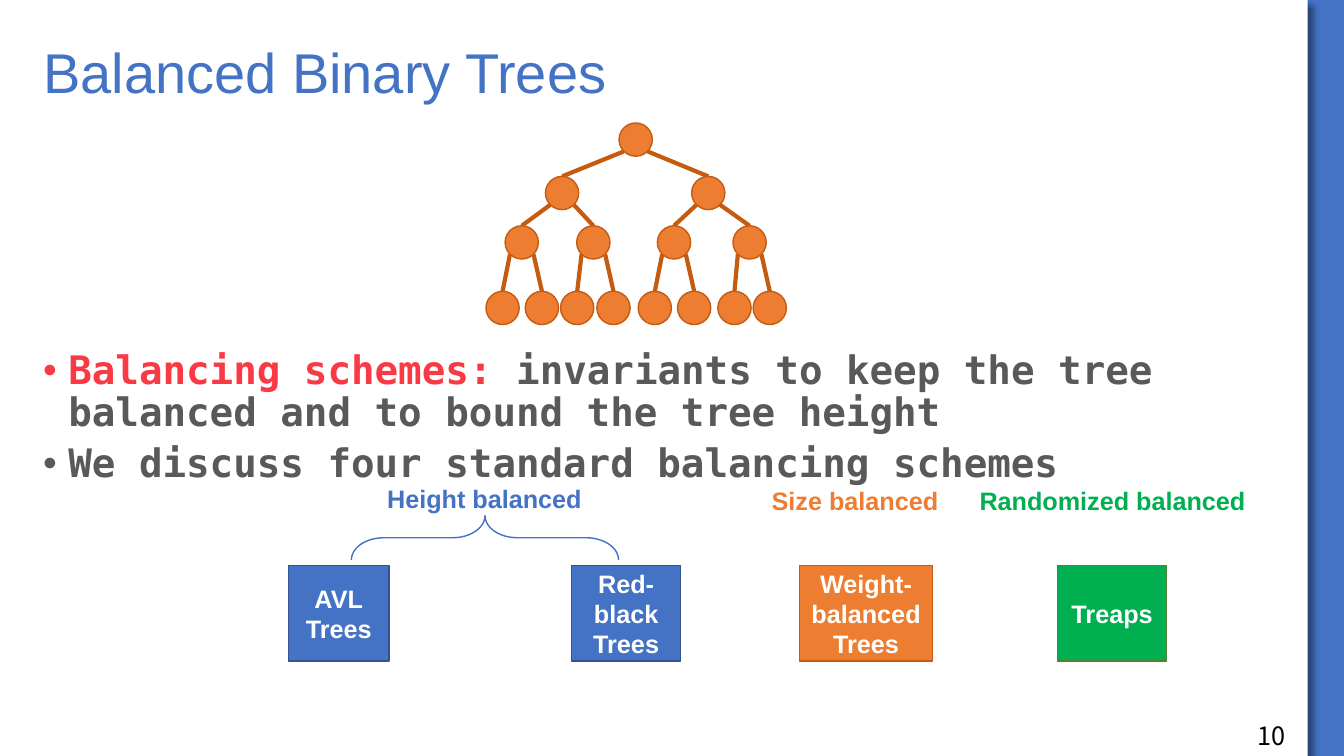
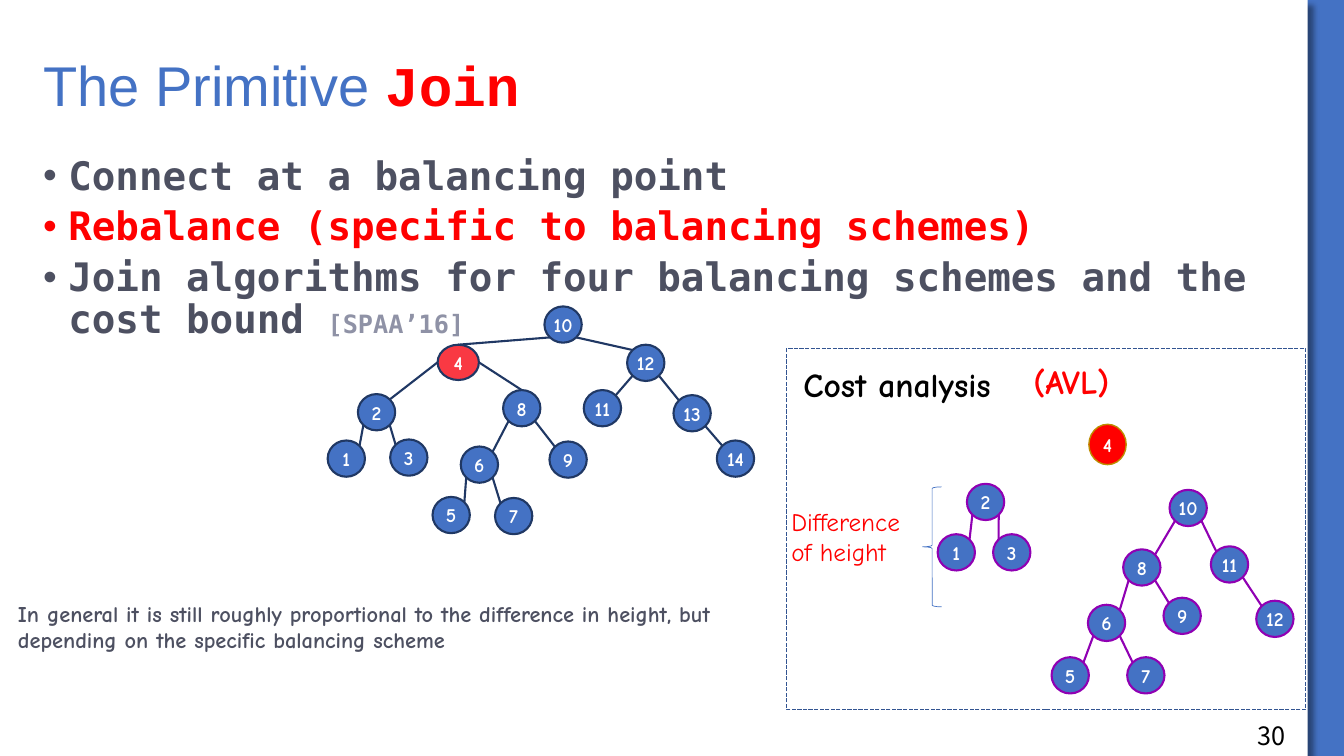
from dataclasses import dataclass, field
from itertools import chain
from lxml import etree
from pptx import Presentation, util as u
from pptx.dml.color import RGBColor
from pptx.enum import dml, shapes, text
from pptx.oxml import parse_xml
from pptx.oxml.ns import nsdecls, qn

SANS, MONO, COMIC = "Arial", "DejaVu Sans Mono", "Comic Neue"


@dataclass(frozen=True)
class Theme:
    blue: str = "4472C4"
    blue_edge: str = "325491"
    navy: str = "203864"
    orange: str = "ED7D31"
    orange_edge: str = "C55A11"
    green: str = "00B050"
    green_edge: str = "548235"
    red: str = "FF0000"
    coral: str = "F93943"
    gold: str = "BD8D00"
    purple: str = "9000B3"
    white: str = "FFFFFF"
    styles: dict = field(default_factory=lambda: {
        "title": (40, SANS, "4472C4", False),
        "title code": (40, "Courier New", "FF0000", True),
        "body": (28, MONO, "595959", True),
        "body slate": (28, MONO, "4D5061", True),
        "body coral": (28, MONO, "F93943", True),
        "body red": (28, MONO, "FF0000", True),
        "citation": (18, MONO, "8F92A6", True),
        "page": (18, "Noto Sans CJK SC", "000000", False),
        "scheme": (18, SANS, "FFFFFF", True),
        "height": (18, SANS, "4472C4", True),
        "size": (18, SANS, "ED7D31", True),
        "random": (18, SANS, "00B050", True),
        "key": (14, COMIC, "FFFFFF", True),
        "heading": (24, COMIC, "000000", True),
        "heading red": (24, COMIC, "FF0000", True),
        "remark": (18, COMIC, "FF0000", False),
        "note": (16, COMIC, "4D5061", True),
    })


T = Theme()
CELL = u.Inches(1)
COLS, ROWS = 13.33, 7.5
PAPER_COLS = 12.97
MARGIN, CONTENT_COLS = 0.33, 12.33

BALANCED = {
    "page": "10",
    "title": ([("Balanced Binary Trees", "title")], 0.5),
    "body": (3.43, 1.58, [
        [("Balancing schemes: ", "body coral"),
         ("invariants to keep the tree balanced and to bound the tree height", "body")],
        [("We discuss four standard balancing schemes", "body")],
    ]),
}
LEVELS = [
    (1.22, [6.14]),
    (1.75, [5.41, 6.86]),
    (2.24, [5.01, 5.72, 6.52, 7.27]),
    (2.89, [4.82, 5.21, 5.56, 5.92, 6.33, 6.72, 7.12, 7.47]),
]
SCHEMES = [
    (["AVL", "Trees"], 2.86, 1.0, T.blue, T.blue_edge),
    (["Red-black Trees"], 5.67, 1.08, T.blue, T.blue_edge),
    (["Weight-balanced Trees"], 7.93, 1.32, T.orange, T.orange_edge),
    (["Treaps"], 10.49, 1.08, T.green, T.green_edge),
]
FAMILIES = [
    ("Height balanced", "height", (3.62, 4.75, 2.37, 0.4)),
    ("Size balanced", "size", (7.54, 4.77, 1.88, 0.4)),
    ("Randomized balanced", "random", (9.6, 4.77, 2.87, 0.4)),
]

JOIN = {
    "page": "30",
    "title": ([("The Primitive ", "title"), ("Join", "title code")], 0.75),
    "body": (1.5, 5.75, [
        [("Connect at a balancing point", "body slate")],
        [("Rebalance (specific to balancing schemes)", "body red")],
        [("Join algorithms for four balancing schemes and the cost bound ", "body slate"),
         ("[SPAA’16]", "citation")],
    ]),
}
LEFT, RIGHT = ("sw", "ne"), ("se", "nw")
JOINED = {
    10: (5.4, 3.04, None, None), 4: (4.34, 3.42, 10, ("sw", "n")),
    12: (6.22, 3.42, 10, RIGHT), 2: (3.55, 3.91, 4, ("w", "ne")),
    8: (4.99, 3.87, 4, ("e", "n")), 11: (5.79, 3.87, 12, LEFT),
    13: (6.68, 3.92, 12, RIGHT), 1: (3.25, 4.37, 2, LEFT),
    3: (3.87, 4.36, 2, RIGHT), 6: (4.57, 4.43, 8, LEFT),
    9: (5.45, 4.38, 8, RIGHT), 14: (7.11, 4.37, 13, RIGHT),
    5: (4.29, 4.93, 6, LEFT), 7: (4.91, 4.94, 6, RIGHT),
}
SMALLER = {2: (9.59, 4.8, None, None), 1: (9.3, 5.3, 2, LEFT), 3: (9.85, 5.3, 2, RIGHT)}
LARGER = {
    10: (11.6, 4.86, None, None), 8: (11.14, 5.45, 10, LEFT),
    11: (12.01, 5.42, 10, RIGHT), 6: (10.79, 6.0, 8, LEFT),
    9: (11.54, 5.93, 8, RIGHT), 12: (12.46, 5.96, 11, RIGHT),
    5: (10.43, 6.52, 6, LEFT), 7: (11.18, 6.52, 6, RIGHT),
}
PIVOT = {4: (10.8, 4.21, None, None)}
REMARKS = [
    ("Cost analysis", "heading", (7.87, 3.56, 2.31, 0.5)),
    ("(AVL)", "heading red", (10.15, 3.53, 1.1, 0.5)),
    ("Difference of height", "remark", (7.75, 4.97, 1.53, 0.71)),
    ("In general it is still roughly proportional to the difference in height, "
     "but depending on the specific balancing scheme", "note", (0.08, 5.9, 7.66, 0.64)),
]

DIAGONAL = 0.5 ** 0.5
COMPASS = {
    "n": (0, -1), "w": (-1, 0), "e": (1, 0),
    "ne": (DIAGONAL, -DIAGONAL), "nw": (-DIAGONAL, -DIAGONAL),
    "se": (DIAGONAL, DIAGONAL), "sw": (-DIAGONAL, DIAGONAL),
}


def cells(*lengths):
    return [int(length * CELL) for length in lengths]


def rgb(color):
    return RGBColor.from_string(color)


def write(frame, paragraphs, align=None, anchor=text.MSO_ANCHOR.TOP, wrap=True,
          spacing=None, bullets=False):
    frame.word_wrap, frame.vertical_anchor = wrap, anchor
    for index, runs in enumerate(paragraphs):
        line = frame.paragraphs[0] if index == 0 else frame.add_paragraph()
        line.alignment, line.line_spacing = align, spacing
        for words, style in runs:
            run = line.add_run()
            run.text = words
            size, face, color, bold = T.styles[style]
            run.font.size, run.font.name, run.font.bold = u.Pt(size), face, bold
            run.font.color.rgb = rgb(color)
        if bullets:
            line.space_before = u.Pt(6)
            props = line._p.get_or_add_pPr()
            props.set("marL", str(CELL // 4))
            props.set("indent", str(-CELL // 4))
            etree.SubElement(props, qn("a:buFont")).set("typeface", SANS)
            etree.SubElement(props, qn("a:buChar")).set("char", "•")


def label(slide, box, paragraphs, **layout):
    write(slide.shapes.add_textbox(*cells(*box)).text_frame, paragraphs, **layout)


def draw(slide, kind, box, fill=None, edge=None, width=1):
    item = slide.shapes.add_shape(kind, *cells(*box))
    item.shadow.inherit = False
    if fill:
        item.fill.solid()
        item.fill.fore_color.rgb = rgb(fill)
    else:
        item.fill.background()
    if edge:
        item.line.color.rgb = rgb(edge)
        item.line.width = u.Pt(width)
    else:
        item.line.fill.background()
    return item


def site(box, direction):
    left, top, width, height = box
    dx, dy = COMPASS[direction]
    return left + width / 2 * (1 + dx), top + height / 2 * (1 + dy)


def draw_tree(slide, tree, fill, edge, node_width=1.5, edge_width=1.5, size=(0.37, 0.36),
              special=None, keys=True):
    special = special or {}
    boxes = {key: (left, top, *special.get(key, (size, fill))[0])
             for key, (left, top, _, _) in tree.items()}
    for key, (_, _, parent, joint) in tree.items():
        if parent is None:
            continue
        ends = chain(site(boxes[parent], joint[0]), site(boxes[key], joint[1]))
        branch = slide.shapes.add_connector(shapes.MSO_CONNECTOR.STRAIGHT, *cells(*ends))
        branch.line.color.rgb = rgb(edge)
        branch.line.width = u.Pt(edge_width)
        etree.SubElement(branch._element.spPr, qn("a:effectLst"))
    for key, box in boxes.items():
        color = special.get(key, (size, fill))[1]
        node = draw(slide, shapes.MSO_SHAPE.OVAL, box, color, edge, node_width)
        if keys:
            write(node.text_frame, [[(str(key), "key")]], text.PP_ALIGN.CENTER,
                  text.MSO_ANCHOR.MIDDLE, wrap=False)


def heap(levels):
    spots = [(left, top) for top, lefts in levels for left in lefts]
    return {i: (*spot, (i - 1) // 2 if i else None, ("sw" if i % 2 else "se", "n"))
            for i, spot in enumerate(spots)}


def set_master(deck, slide):
    master = deck.slide_master
    master.background.fill.solid()
    master.background.fill.fore_color.rgb = rgb(T.blue)
    paper = draw(slide, shapes.MSO_SHAPE.RECTANGLE, (0, 0, PAPER_COLS, ROWS), T.white)
    props = paper._element.spPr
    props.remove(props.find(qn("a:effectLst")))
    props.append(parse_xml(
        f'<a:effectLst {nsdecls("a")}><a:outerShdw blurRad="{u.Pt(4)}" dist="{u.Pt(6)}" '
        'dir="2700000" algn="tl" rotWithShape="0"><a:srgbClr val="000000">'
        '<a:alpha val="40000"/></a:srgbClr></a:outerShdw></a:effectLst>'))
    master.shapes._spTree.insert(2, paper._element)


def add_page(deck, content):
    slide = deck.slides.add_slide(deck.slide_layouts[6])
    if len(deck.slides) == 1:
        set_master(deck, slide)
    title, title_rows = content["title"]
    top, rows, points = content["body"]
    label(slide, (MARGIN, 0.5, CONTENT_COLS, title_rows), [title],
          anchor=text.MSO_ANCHOR.MIDDLE, spacing=0.9)
    label(slide, (MARGIN, top, CONTENT_COLS, rows), points, spacing=0.9, bullets=True)
    label(slide, (12.37, 7.1, 0.86, 0.4), [[(content["page"], "page")]])
    return slide


def build_balanced(deck):
    slide = add_page(deck, BALANCED)
    draw_tree(slide, heap(LEVELS), T.orange, T.orange_edge, node_width=1, edge_width=3,
              size=(0.33, 0.33), keys=False)
    for lines, left, width, fill, edge in SCHEMES:
        scheme = draw(slide, shapes.MSO_SHAPE.RECTANGLE, (left, 5.61, width, 0.95), fill, edge)
        write(scheme.text_frame, [[(line, "scheme")] for line in lines],
              text.PP_ALIGN.CENTER, text.MSO_ANCHOR.MIDDLE)
    brace = draw(slide, shapes.MSO_SHAPE.LEFT_BRACE, (4.59, 4.01, 0.44, 2.65), edge=T.blue)
    brace.rotation = 90
    brace.adjustments[0] = 0.73
    for family, style, box in FAMILIES:
        label(slide, box, [[(family, style)]], align=text.PP_ALIGN.CENTER, wrap=False)


def build_join(deck):
    slide = add_page(deck, JOIN)
    draw_tree(slide, JOINED, T.blue, T.navy, special={4: ((0.41, 0.35), T.coral)})
    for tree in (LARGER, SMALLER):
        draw_tree(slide, tree, T.blue, T.purple)
    draw_tree(slide, PIVOT, T.red, T.gold, node_width=1, size=(0.37, 0.4))
    draw(slide, shapes.MSO_SHAPE.LEFT_BRACE, (9.15, 4.83, 0.19, 1.19), edge=T.blue, width=0.5)
    analysis = draw(slide, shapes.MSO_SHAPE.RECTANGLE, (7.8, 3.46, 5.15, 3.58),
                    edge=T.blue_edge)
    analysis.line.dash_style = dml.MSO_LINE.SQUARE_DOT
    for words, style, box in REMARKS:
        label(slide, box, [[(words, style)]])


def main():
    deck = Presentation()
    deck.slide_width, deck.slide_height = cells(COLS, ROWS)
    build_balanced(deck)
    build_join(deck)
    deck.save("out.pptx")


if __name__ == "__main__":
    main()
